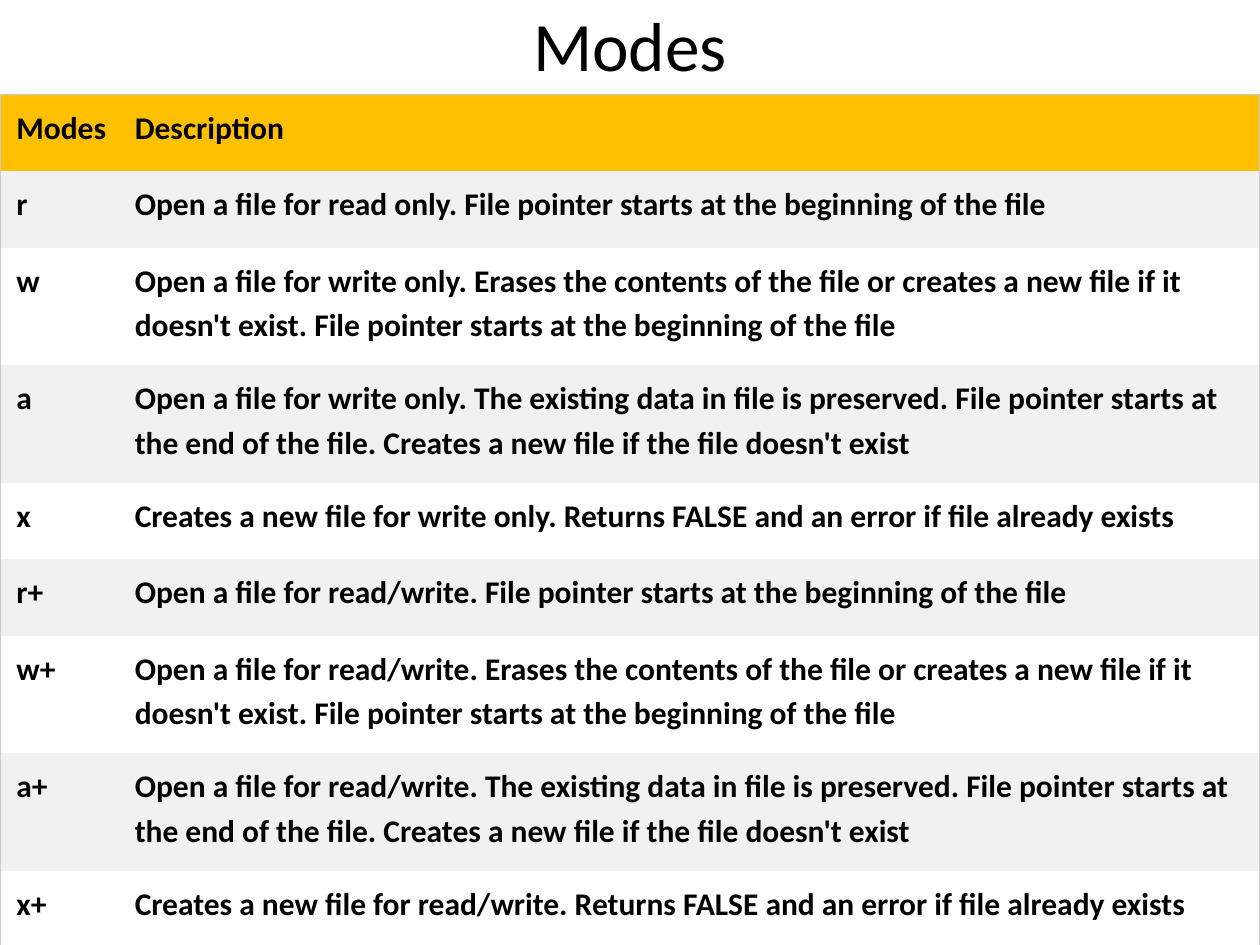
from lxml import etree
from pptx import Presentation
from pptx.dml.color import RGBColor
from pptx.enum import text
from pptx.oxml import ns
from pptx.util import Inches, Pt

BLACK = RGBColor(0x00, 0x00, 0x00)
AMBER = RGBColor(0xFF, 0xC0, 0x00)
STRIPE = RGBColor(0xF1, 0xF1, 0xF1)
WHITE = RGBColor(0xFF, 0xFF, 0xFF)
BORDER = RGBColor(0xCC, 0xCC, 0xCC)

SHORT_ROW, TALL_ROW = 0.61, 0.93
START = "File pointer starts at the beginning of the file"
ERASE = "Erases the contents of the file or creates a new file if it doesn't exist. " + START
KEEP = ("The existing data in file is preserved. File pointer starts at the end of the file. "
        "Creates a new file if the file doesn't exist")
FAIL = "Returns FALSE and an error if file already exists"

rows = [("Modes", "Description", SHORT_ROW)]
for suffix, access in (("", "write only"), ("+", "read/write")):
    reading = access if suffix else "read only"
    rows += [
        ("r" + suffix, f"Open a file for {reading}. {START}", SHORT_ROW),
        ("w" + suffix, f"Open a file for {access}. {ERASE}", TALL_ROW),
        ("a" + suffix, f"Open a file for {access}. {KEEP}", TALL_ROW),
        ("x" + suffix, f"Creates a new file for {access}. {FAIL}", SHORT_ROW),
    ]


def write(p, words, **font):
    """Put one run of black Calibri in a paragraph."""
    r = p.add_run()
    r.text = words
    r.font.color.rgb = BLACK
    for name, value in {"name": "Calibri", **font}.items():
        setattr(r.font, name, value)


def set_borders(cell, visible):
    """Draw the visible sides of a cell and clear the others."""
    tcPr = cell._tc.get_or_add_tcPr()
    for i, side in enumerate("LRTB"):
        ln = etree.Element(ns.qn(f"a:ln{side}"), w=str(Pt(1)))
        if side in visible:
            fill = etree.SubElement(ln, ns.qn("a:solidFill"))
            etree.SubElement(fill, ns.qn("a:srgbClr"), val=str(BORDER))
        else:
            etree.SubElement(ln, ns.qn("a:noFill"))
        tcPr.insert(i, ln)


prs = Presentation()
prs.slide_width, prs.slide_height = Inches(10), Inches(7.5)
s = prs.slides.add_slide(prs.slide_layouts[6])

title = s.shapes.add_textbox(Inches(0.5), Inches(0), Inches(9), Inches(0.7))
tf = title.text_frame
tf.word_wrap = True
tf.vertical_anchor = text.MSO_ANCHOR.MIDDLE
p = tf.paragraphs[0]
p.alignment = text.PP_ALIGN.CENTER
write(p, "Modes", size=Pt(39.6))

table = s.shapes.add_table(len(rows), 2, Inches(0), Inches(0.75),
                           Inches(10), Inches(6.75)).table
table.first_row = table.horz_banding = False
for column, width in zip(table.columns, (1, 9)):
    column.width = Inches(width)

for i, (mode, description, height) in enumerate(rows):
    table.rows[i].height = Inches(height)
    fill = AMBER if i == 0 else STRIPE if i % 2 else WHITE
    edge = "T" if i == 0 else "B" if i == len(rows) - 1 else ""
    for j, words in enumerate((mode, description)):
        cell = table.cell(i, j)
        cell.fill.solid()
        cell.fill.fore_color.rgb = fill
        set_borders(cell, "LR"[j] + edge)
        cell.margin_left = Inches((0.13, 0.07)[j])
        cell.margin_right = cell.margin_top = cell.margin_bottom = Inches(0.07)
        p = cell.text_frame.paragraphs[0]
        p.line_spacing = 1.15
        write(p, words, size=Pt(18), bold=True)

prs.save("out.pptx")
